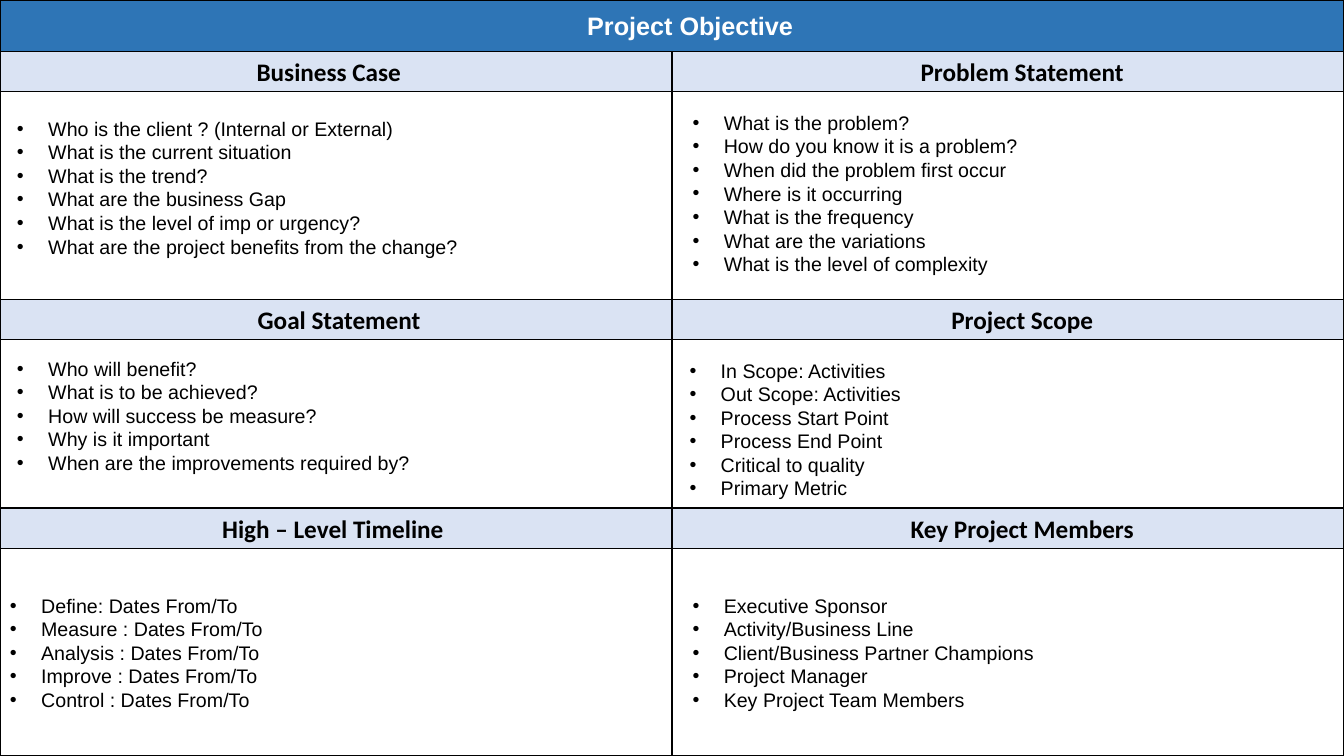
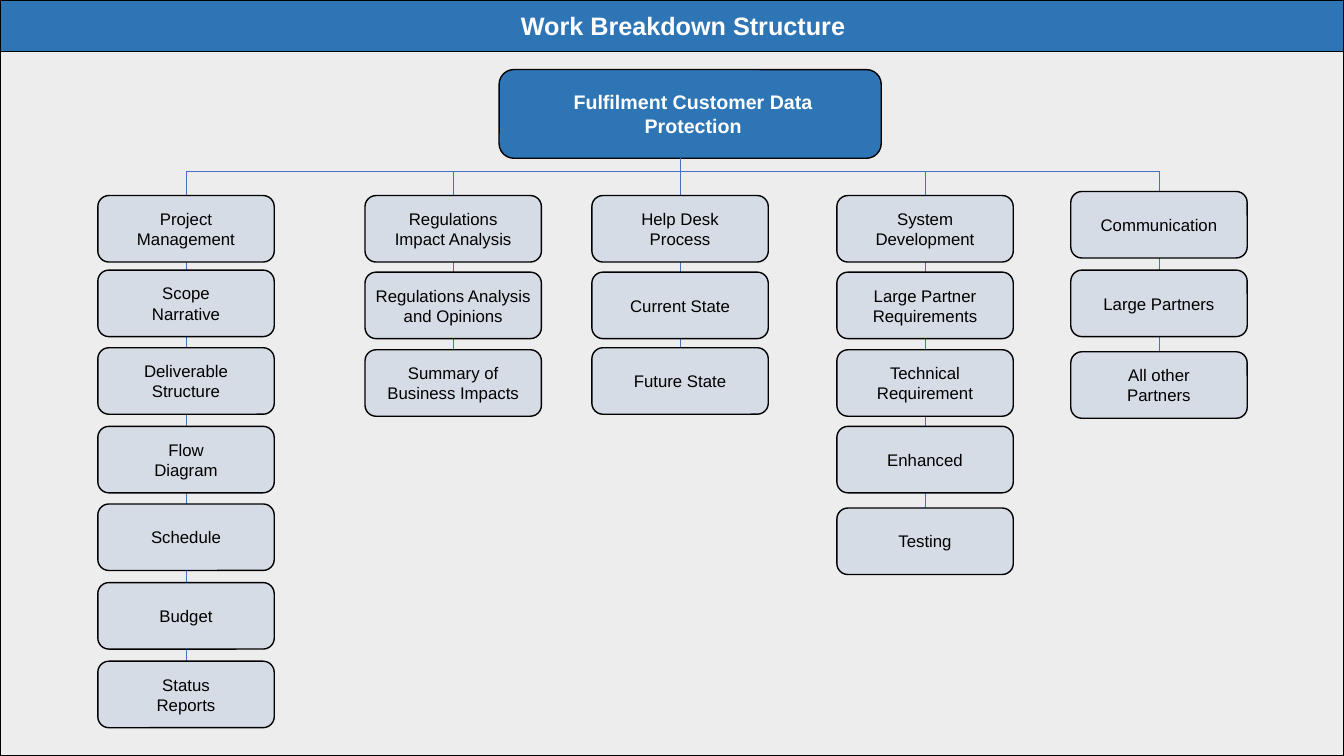
from lxml import etree
from pptx import Presentation
from pptx.dml.color import RGBColor
from pptx.enum.shapes import MSO_CONNECTOR, MSO_SHAPE
from pptx.enum.text import MSO_ANCHOR, MSO_AUTO_SIZE, PP_ALIGN
from pptx.oxml.ns import qn
from pptx.util import Inches, Pt

RECTANGLE, ROUNDED = MSO_SHAPE.RECTANGLE, MSO_SHAPE.ROUNDED_RECTANGLE
STRAIGHT = MSO_CONNECTOR.STRAIGHT
TOP, MIDDLE = MSO_ANCHOR.TOP, MSO_ANCHOR.MIDDLE
LEFT, CENTER = PP_ALIGN.LEFT, PP_ALIGN.CENTER
NO_FIT = MSO_AUTO_SIZE.NONE

BLACK = RGBColor(0x00, 0x00, 0x00)
WHITE = RGBColor(0xFF, 0xFF, 0xFF)
BLUE = RGBColor(0x2E, 0x75, 0xB6)
PALE_BLUE = RGBColor(0xDA, 0xE3, 0xF3)
LINK_BLUE = RGBColor(0x44, 0x72, 0xC4)
CARD_GREY = RGBColor(0xD6, 0xDC, 0xE5)
PAGE_GREY = RGBColor(0xED, 0xED, 0xED)

WIDTH, HEIGHT = 13.33, 7.5
BAND_HEIGHT = 0.51
TITLE_ONLY = 5
INSET = 0.1

TITLE_FONT = {"name": "Arial", "size": Pt(18), "bold": True, "color": WHITE}
HEADING_FONT = {"name": "Calibri", "size": Pt(18), "bold": True, "color": BLACK}
BULLET_FONT = {"name": "Arial", "size": Pt(14), "bold": False, "color": BLACK}
ROOT_FONT = {"name": "Arial", "size": Pt(14), "bold": True, "color": WHITE}
CARD_FONT = {"name": "Arial", "size": Pt(12), "bold": False, "color": BLACK}

PANEL_COLUMN = WIDTH / 2
PANEL_ROWS = (BAND_HEIGHT, 2.97, 5.04)
PANEL_HEIGHT, HEADING_HEIGHT = 2.46, 0.4
HEADING_SHIFTS = (-0.07, 0.14, 0.03, 0.14, -0.03, 0.14)
LIST_WIDTH, BULLET_LINE, BULLET_INDENT = 6.52, 0.24, 0.31

PANELS = (
    ("Business Case", (0.07, 1.11), (
        "Who is the client ? (Internal or External)",
        "What is the current situation",
        "What is the trend?",
        "What are the business Gap",
        "What is the level of imp or urgency?",
        "What are the project benefits from the change?")),
    ("Problem Statement", (6.77, 1.05), (
        "What is the problem?",
        "How do you know it is a problem?",
        "When did the problem first occur",
        "Where is it occurring",
        "What is the frequency",
        "What are the variations",
        "What is the level of complexity")),
    ("Goal Statement", (0.07, 3.49), (
        "Who will benefit?",
        "What is to be achieved?",
        "How will success be measure?",
        "Why is it important",
        "When are the improvements required by?")),
    ("Project Scope", (6.74, 3.51), (
        "In Scope: Activities",
        "Out Scope: Activities",
        "Process Start Point",
        "Process End Point",
        "Critical to quality",
        "Primary Metric")),
    ("High – Level Timeline", (0, 5.84), (
        "Define: Dates From/To",
        "Measure : Dates From/To",
        "Analysis : Dates From/To",
        "Improve : Dates From/To",
        "Control : Dates From/To")),
    ("Key Project Members", (6.77, 5.84), (
        "Executive Sponsor",
        "Activity/Business Line",
        "Client/Business Partner Champions",
        "Project Manager",
        "Key Project Team Members")),
)

ROOT_BOX = (4.95, 0.69, 3.79, 0.88)
ROOT_INSET = 0.55
TRUNK_X, BUS_Y = 6.75, 1.7
CARD_WIDTH, CARD_HEIGHT = 1.75, 0.66
NARROW, MEDIUM, WIDE = 0.34, 0.24, 0.05

BRANCHES = (
    (0.97, (
        ("Project Management", 1.94, NARROW),
        ("Scope Narrative", 2.68, NARROW),
        ("Deliverable Structure", 3.45, NARROW),
        ("Flow Diagram", 4.23, NARROW),
        ("Schedule", 5, NARROW),
        ("Budget", 5.78, NARROW),
        ("Status Reports", 6.56, NARROW))),
    (3.62, (
        ("Regulations Impact Analysis", 1.94, MEDIUM),
        ("Regulations Analysis and Opinions", 2.7, WIDE),
        ("Summary of Business Impacts", 3.47, INSET))),
    (5.87, (
        ("Help Desk Process", 1.94, MEDIUM),
        ("Current State", 2.7, MEDIUM),
        ("Future State", 3.45, MEDIUM))),
    (8.3, (
        ("System Development", 1.94, MEDIUM),
        ("Large Partner Requirements", 2.7, MEDIUM),
        ("Technical Requirement", 3.47, MEDIUM),
        ("Enhanced", 4.23, MEDIUM),
        ("Testing", 5.04, MEDIUM))),
    (10.62, (
        ("Communication", 1.9, MEDIUM),
        ("Large Partners", 2.68, MEDIUM),
        ("All other Partners", 3.49, MEDIUM))),
)


def set_all(target, values):
    """Set each named attribute of the target."""
    for name, value in values.items():
        setattr(target, name, value)


def write(box, lines, font, align=CENTER, anchor=MIDDLE, inset=INSET, shift=0):
    """Write one paragraph per line, moving the text sideways by shift."""
    frame = box.text_frame
    set_all(frame, {
        "word_wrap": True, "auto_size": NO_FIT, "vertical_anchor": anchor,
        "margin_left": Inches(inset + max(2 * shift, 0)),
        "margin_right": Inches(inset + max(-2 * shift, 0)),
        "margin_top": Inches(0.05), "margin_bottom": Inches(0.05)})
    for index, line in enumerate(lines):
        para = frame.add_paragraph() if index else frame.paragraphs[0]
        para.alignment = align
        span = para.add_run()
        span.text = line
        set_all(span.font, {k: v for k, v in font.items() if k != "color"})
        span.font.color.rgb = font["color"]


def paint(box, fill):
    """Fill a box, or leave it clear, and give it a thin black outline."""
    if fill is None:
        box.fill.background()
    else:
        box.fill.solid()
        box.fill.fore_color.rgb = fill
    box.line.color.rgb = BLACK
    box.line.width = Pt(1)


def add_box(page, kind, place, fill):
    """Add an outlined preset shape without a shadow."""
    box = page.shapes.add_shape(kind, *map(Inches, place))
    box.shadow.inherit = False
    paint(box, fill)
    return box


def add_link(page, start, end):
    """Add a thin line between two points."""
    link = page.shapes.add_connector(STRAIGHT, *map(Inches, start + end))
    link.line.color.rgb = LINK_BLUE
    link.line.width = Pt(0.5)
    etree.SubElement(link._element.spPr, qn("a:effectLst"))


def add_bullets(page, corner, lines):
    """Add a bulleted list with its top left corner at the given point."""
    size = (LIST_WIDTH, len(lines) * BULLET_LINE + INSET)
    box = page.shapes.add_textbox(*map(Inches, corner + size))
    write(box, lines, BULLET_FONT, LEFT, TOP)
    for para in box.text_frame.paragraphs:
        props = para._p.get_or_add_pPr()
        props.set("marL", str(Inches(BULLET_INDENT)))
        props.set("indent", str(-Inches(BULLET_INDENT)))
        etree.SubElement(props, qn("a:buFont")).set("typeface", "Arial")
        etree.SubElement(props, qn("a:buChar")).set("char", "•")


def add_page(deck, title, color, shift):
    """Add a framed page whose title is a band across the top."""
    page = deck.slides.add_slide(deck.slide_layouts[TITLE_ONLY])
    page.background.fill.solid()
    page.background.fill.fore_color.rgb = color
    band = page.shapes.title
    set_all(band, {"left": 0, "top": 0, "width": Inches(WIDTH),
                   "height": Inches(BAND_HEIGHT)})
    paint(band, BLUE)
    write(band, [title], TITLE_FONT, shift=shift)
    add_box(page, RECTANGLE, (0, 0, WIDTH, HEIGHT), None)
    return page


def add_panel(page, index, heading, corner, lines):
    """Add one cell of the two-column grid: panel, heading and list."""
    row, column = divmod(index, 2)
    left, top = column * PANEL_COLUMN, PANEL_ROWS[row]
    add_box(page, RECTANGLE, (left, top, PANEL_COLUMN, PANEL_HEIGHT), WHITE)
    bar = add_box(page, RECTANGLE,
                  (left, top, PANEL_COLUMN, HEADING_HEIGHT), PALE_BLUE)
    write(bar, [heading], HEADING_FONT, shift=HEADING_SHIFTS[index])
    add_bullets(page, corner, lines)


def add_branch(page, left, cards):
    """Add a column of cards hanging from the bus line."""
    middle = left + CARD_WIDTH / 2
    first, last = cards[0][1], cards[-1][1]
    add_link(page, (middle, BUS_Y), (middle, first))
    add_link(page, (middle, first + CARD_HEIGHT), (middle, last))
    for label, top, inset in cards:
        card = add_box(page, ROUNDED,
                       (left, top, CARD_WIDTH, CARD_HEIGHT), CARD_GREY)
        write(card, [label], CARD_FONT, inset=inset)


def build_objective(deck):
    """Build the project objective page."""
    page = add_page(deck, "Project Objective", WHITE, 0.18)
    for index, panel in enumerate(PANELS):
        add_panel(page, index, *panel)


def build_breakdown(deck):
    """Build the work breakdown page."""
    page = add_page(deck, "Work Breakdown Structure", PAGE_GREY, 0.11)
    root = add_box(page, ROUNDED, ROOT_BOX, BLUE)
    write(root, ["Fulfilment Customer Data Protection"], ROOT_FONT,
          inset=ROOT_INSET, shift=0.03)
    add_link(page, (TRUNK_X, ROOT_BOX[1] + ROOT_BOX[3]), (TRUNK_X, BUS_Y))
    ends = [BRANCHES[end][0] + CARD_WIDTH / 2 for end in (0, -1)]
    add_link(page, (ends[0], BUS_Y), (ends[1], BUS_Y))
    for left, cards in BRANCHES:
        add_branch(page, left, cards)


def main():
    """Build and save the deck."""
    deck = Presentation()
    set_all(deck, {"slide_width": Inches(WIDTH), "slide_height": Inches(HEIGHT)})
    build_objective(deck)
    build_breakdown(deck)
    deck.save("out.pptx")


main()
